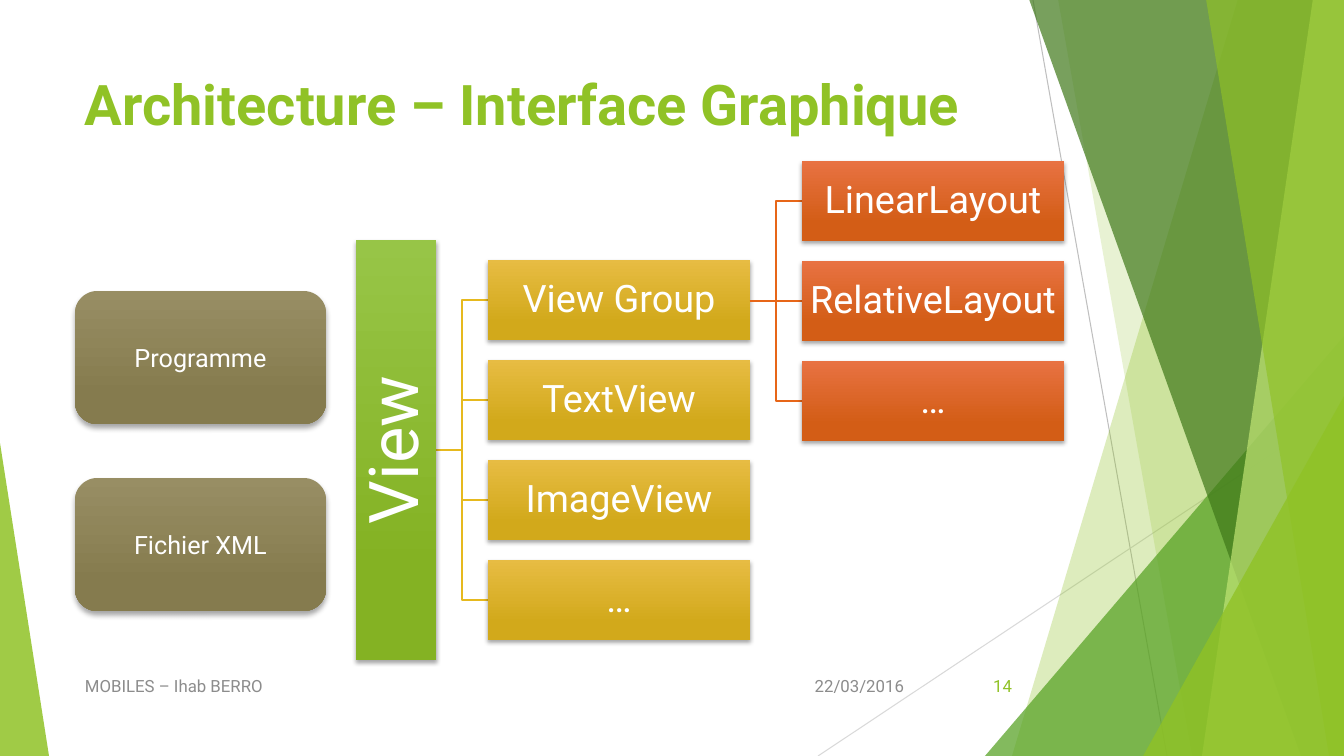
import pptx
import pptx.util
import pptx.dml.color
import pptx.enum.shapes
import pptx.enum.text
import pptx.oxml
import pptx.oxml.ns

SCALE = 914400 / 100.8  # EMU in one pixel
WIDTH, HEIGHT = 1344, 756
FONT = "Roboto"
SHAPES = pptx.enum.shapes.MSO_SHAPE
ALIGN = pptx.enum.text.PP_ALIGN
ANCHOR = pptx.enum.text.MSO_ANCHOR
qn = pptx.oxml.ns.qn

# Content
CAPTIONS = [  # text, box, format, alignment
    ("Architecture – Interface Graphique", (75, 67, 948, 73),
     {"size": 40, "color": "90C226", "bold": True}, ALIGN.LEFT),
    ("22/03/2016", (794, 666, 120, 40), {"size": 12, "color": "8C8C8C"}, ALIGN.RIGHT),
    ("MOBILES – Ihab BERRO", (75, 666, 695, 40), {"size": 12, "color": "8C8C8C"}, ALIGN.LEFT),
    ("14", (947, 666, 75, 40), {"size": 12, "color": "90C226"}, ALIGN.RIGHT),
]
SOURCES = ["Programme", "Fichier XML"]
ROOT = "View"
VIEWS = ["View Group", "TextView", "ImageView", "…"]
LAYOUTS = ["LinearLayout", "RelativeLayout", "…"]

# Gradient pairs and line colours
BROWN = ("988E64", "857B4E")
GREEN = ("97C547", "84B223")
YELLOW, YELLOW_LINE = ("E7BC43", "D2A91B"), "E6B91E"
ORANGE, ORANGE_LINE = ("E87242", "D35D16"), "E76618"

# Background: bands give top and bottom x, triangles give box and apex
THIN_LINES = [((1033, 0), (1167, 756), "BFBFBF"), ((1344, 406), (818, 756), "D9D9D9")]
FACETS = [
    ("band", (1238, 1012), None, "90C226", 30),
    ("band", (1058, 1192), None, "90C226", 20),
    ("triangle", (985, 336, 359, 420), 1, "54A021", 72),
    ("band", (1029, 1301), None, "3F7819", 70),
    ("band", (1313, 1202), None, "C0E474", 70),
    ("band", (1206, 1329), None, "90C226", 65),
    ("triangle", (1143, 396, 201, 360), 1, "90C226", 80),
    ("triangle", (0, 443, 49, 313), 0, "90C226", 85),
]

# Tree geometry
BOX_WIDTH, BOX_HEIGHT, ROW_STEP = 262, 80, 100
COLUMN_GAP = 52
ROOT_LEFT, ROOT_TOP, ROOT_LENGTH = 356, 240, 420
VIEW_LEFT, VIEW_TOP = ROOT_LEFT + BOX_HEIGHT + COLUMN_GAP, 260
LAYOUT_LEFT, LAYOUT_TOP = VIEW_LEFT + BOX_WIDTH + COLUMN_GAP, VIEW_TOP - ROW_STEP + 1
SOURCE_BOX, SOURCE_STEP = (75, 291, 251, 133), 187

presentation = pptx.Presentation()
presentation.slide_width = pptx.util.Inches(13.333)
presentation.slide_height = pptx.util.Inches(7.5)
slide = presentation.slides.add_slide(presentation.slide_layouts[6])


def px(*values):
    return [pptx.util.Emu(round(value * SCALE)) for value in values]


def rgb(value):
    return pptx.dml.color.RGBColor.from_string(value)


def write(shape, text, style, alignment, margin=None):
    frame = shape.text_frame
    settings = {"word_wrap": True, "vertical_anchor": ANCHOR.MIDDLE}
    if margin is not None:
        for side in ("left", "right", "top", "bottom"):
            settings["margin_" + side] = px(margin)[0]
    for name, value in settings.items():
        setattr(frame, name, value)
    paragraph = frame.paragraphs[0]
    paragraph.alignment = alignment
    if margin is not None:
        paragraph.line_spacing = 0.9
    run = paragraph.add_run()
    run.text = text
    run.font.color.rgb = rgb(style["color"])
    values = {"name": FONT, "size": pptx.util.Pt(style["size"]), "bold": style.get("bold", False)}
    for name, value in values.items():
        setattr(run.font, name, value)


def add_line(start, end, color, width):
    line = slide.shapes.add_connector(
        pptx.enum.shapes.MSO_CONNECTOR.STRAIGHT, *px(*start, *end))
    line.line.color.rgb = rgb(color)
    line.line.width = pptx.util.Pt(width)
    line._element.spPr.append(pptx.oxml.parse_xml(
        f"<a:effectLst {pptx.oxml.ns.nsdecls('a')}/>"))


def add_outline(points, close):
    builder = slide.shapes.build_freeform(*points[0], scale=SCALE)
    builder.add_line_segments(points[1:], close=close)
    shape = builder.convert_to_shape()
    shape.shadow.inherit = False
    return shape


def add_branch(start, end, color):
    if start[1] == end[1]:
        add_line(start, end, color, 1)
        return
    middle = (start[0] + end[0]) // 2
    branch = add_outline([start, (middle, start[1]), (middle, end[1]), end], False)
    branch.fill.background()
    branch.line.color.rgb = rgb(color)
    branch.line.width = pptx.util.Pt(1)


def add_facet(kind, place, apex, color, opacity):
    if kind == "band":
        top, bottom = place
        shape = add_outline([(top, -1), (WIDTH, -1), (WIDTH, HEIGHT), (bottom, HEIGHT)], True)
    else:
        shape = slide.shapes.add_shape(SHAPES.ISOSCELES_TRIANGLE, *px(*place))
        shape.adjustments[0] = apex
        shape.shadow.inherit = False
    shape.line.fill.background()
    shape.fill.solid()
    shape.fill.fore_color.rgb = rgb(color)
    color_node = shape._element.spPr.find(qn("a:solidFill"))[0]
    color_node.append(pptx.oxml.parse_xml(
        f'<a:alpha {pptx.oxml.ns.nsdecls("a")} val="{opacity * 1000}"/>'))


def add_box(kind, box, text, size, colors, margin=None, rotation=0, blur=3, distance=2):
    shape = slide.shapes.add_shape(kind, *px(*box))
    shape.rotation = rotation
    shape.line.fill.background()
    shape.fill.gradient()
    shape.fill.gradient_angle = 270
    for stop, color, position in zip(shape.fill.gradient_stops, colors, (0, 0.78)):
        stop.color.rgb = rgb(color)
        stop.position = position
    properties = shape._element.spPr
    properties.find(qn("a:gradFill")).set("rotWithShape", "0")
    shape.shadow.inherit = False
    properties.find(qn("a:effectLst")).append(pptx.oxml.parse_xml(
        f'<a:outerShdw {pptx.oxml.ns.nsdecls("a")} blurRad="{blur * 12700}" '
        f'dist="{distance * 12700}" dir="5400000" rotWithShape="0">'
        '<a:srgbClr val="000000"><a:alpha val="35000"/></a:srgbClr></a:outerShdw>'))
    write(shape, text, {"size": size, "color": "FFFFFF"}, ALIGN.CENTER, margin)


def add_column(labels, left, top, parent, colors, line_color):
    tops = [top + row * ROW_STEP for row in range(len(labels))]
    for box_top in tops:
        add_branch(parent, (left, box_top + BOX_HEIGHT // 2), line_color)
    for label, box_top in zip(labels, tops):
        add_box(SHAPES.RECTANGLE, (left, box_top, BOX_WIDTH, BOX_HEIGHT), label, 27, colors, 2)


# Background
for start, end, color in THIN_LINES:
    add_line(start, end, color, 0.75)
for facet in FACETS:
    add_facet(*facet)

# Title and footer
for text, box, style, alignment in CAPTIONS:
    write(slide.shapes.add_textbox(*px(*box)), text, style, alignment)

# View tree; the root box is laid flat, then turned about its centre
root_middle = ROOT_TOP + ROOT_LENGTH // 2
root_box = (ROOT_LEFT + (BOX_HEIGHT - ROOT_LENGTH) // 2, root_middle - BOX_HEIGHT // 2,
            ROOT_LENGTH, BOX_HEIGHT)
add_column(VIEWS, VIEW_LEFT, VIEW_TOP, (ROOT_LEFT + BOX_HEIGHT, root_middle), YELLOW, YELLOW_LINE)
add_column(LAYOUTS, LAYOUT_LEFT, LAYOUT_TOP,
           (VIEW_LEFT + BOX_WIDTH, LAYOUT_TOP + ROW_STEP + BOX_HEIGHT // 2), ORANGE, ORANGE_LINE)
add_box(SHAPES.RECTANGLE, root_box, ROOT, 49, GREEN, 3, rotation=270)

# Sources
left, top, width, height = SOURCE_BOX
for row, label in enumerate(SOURCES):
    add_box(SHAPES.ROUNDED_RECTANGLE, (left, top + row * SOURCE_STEP, width, height),
            label, 18, BROWN, blur=4, distance=3)

presentation.save("out.pptx")
